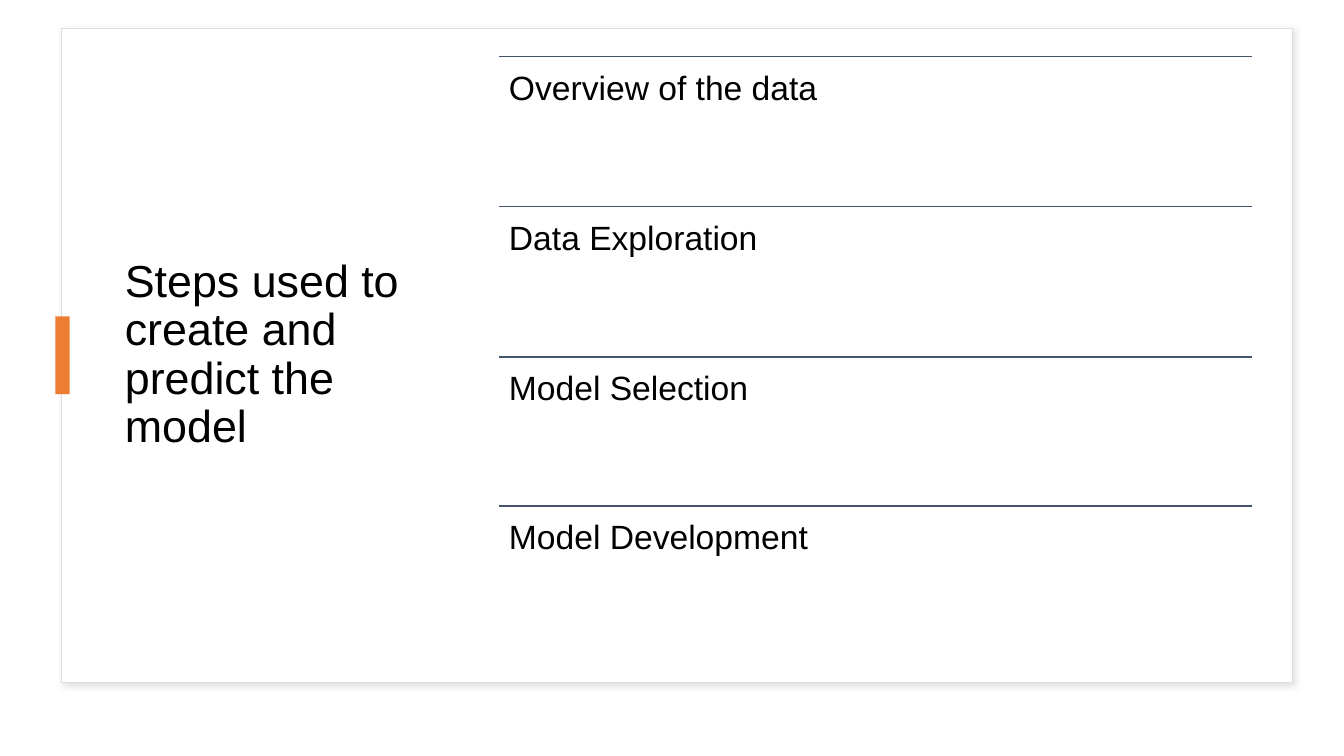
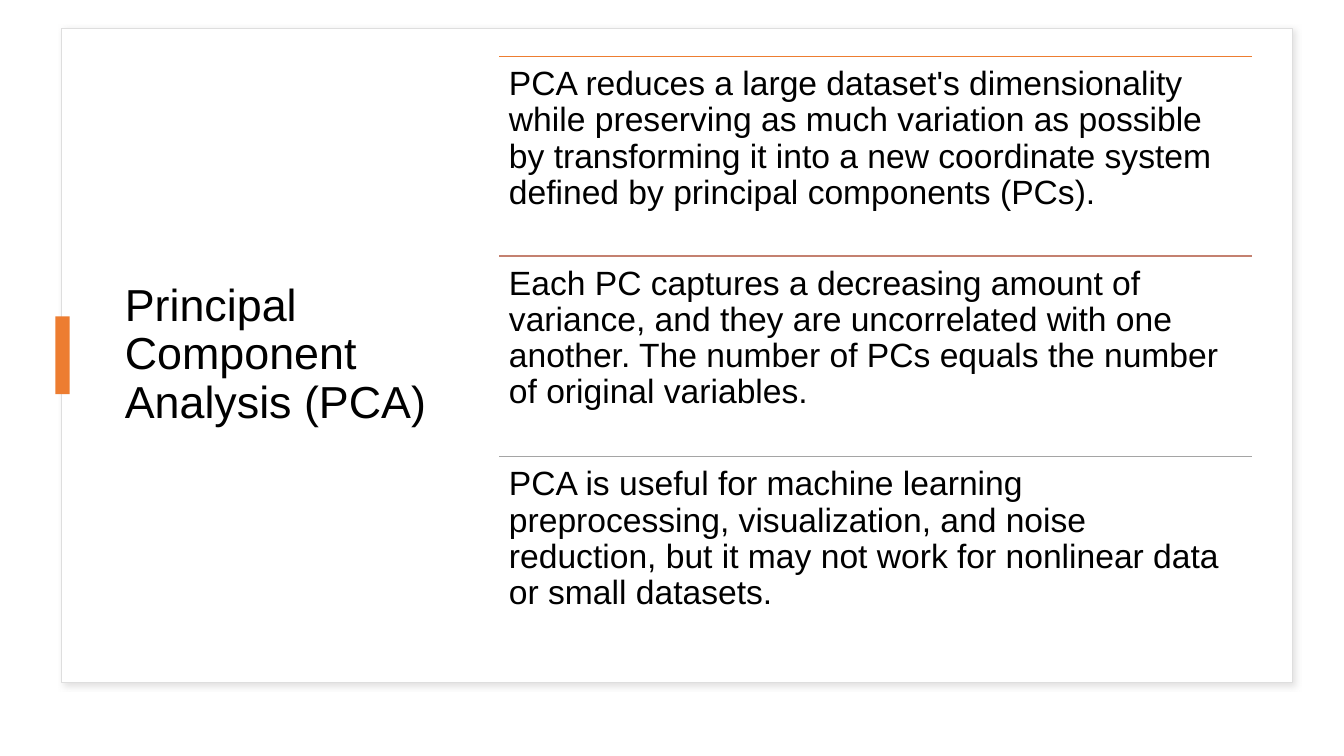
from dataclasses import dataclass
from typing import NamedTuple

from lxml.etree import SubElement
from pptx import Presentation
from pptx.dml.color import RGBColor
from pptx.enum.shapes import MSO_CONNECTOR, MSO_SHAPE
from pptx.enum.text import MSO_ANCHOR, PP_ALIGN
from pptx.oxml.ns import qn
from pptx.util import Emu, Pt


@dataclass(frozen=True)
class Theme:
    font: str = "Arial"
    ink: str = "000000"
    paper: str = "FFFFFF"
    frame: str = "DEDEDE"
    shadow: str = "C5C3C3"
    accent: str = "ED7D31"
    navy: str = "44546A"
    rose: str = "C48170"
    gray: str = "A5A5A5"
    title_size: int = 32
    body_size: int = 24
    line_width: int = 1


class Box(NamedTuple):
    left: int
    top: int
    width: int
    height: int

    def inside(self, left, top, width, height):
        return Box(self.left + left, self.top + top, width, height)

    def rows(self, count):
        edges = [round(self.height * index / count) for index in range(count + 1)]
        return [self.inside(0, top, self.width, bottom - top)
                for top, bottom in zip(edges, edges[1:])]


THEME = Theme()
PAGE = Box(0, 0, 1333, 750)
CARD = PAGE.inside(61, 28, 1221, 649)

SLIDES = [
    ("Steps used to create and predict the model", 1.0, [
        ("Overview of the data", THEME.navy),
        ("Data Exploration", THEME.navy),
        ("Model Selection", THEME.navy),
        ("Model Development", THEME.navy),
    ]),
    ("Principal Component Analysis (PCA)", 0.9, [
        ("PCA reduces a large dataset's dimensionality while preserving as much "
         "variation as possible by transforming it into a new coordinate system "
         "defined by principal components (PCs).", THEME.accent),
        ("Each PC captures a decreasing amount of variance, and they are "
         "uncorrelated with one another. The number of PCs equals the number of "
         "original variables.", THEME.rose),
        ("PCA is useful for machine learning preprocessing, visualization, and "
         "noise reduction, but it may not work for nonlinear data or small "
         "datasets.", THEME.gray),
    ]),
]


def px(length):
    """Convert px, 100 to the inch, into EMU."""
    return Emu(length * 9144)


def emu(box):
    return [px(length) for length in box]


def color(value):
    return RGBColor.from_string(value)


def add_rectangle(shapes, box, fill, line=None):
    rectangle = shapes.add_shape(MSO_SHAPE.RECTANGLE, *emu(box))
    rectangle.shadow.inherit = False
    rectangle.fill.solid()
    rectangle.fill.fore_color.rgb = color(fill)
    if line:
        rectangle.line.color.rgb = color(line)
        rectangle.line.width = Pt(THEME.line_width)
    else:
        rectangle.line.fill.background()
    return rectangle


def add_soft_shadow(shape):
    effects = shape._element.spPr.find(qn("a:effectLst"))
    shadow = SubElement(effects, qn("a:outerShdw"), blurRad=str(Pt(4)),
                        dist=str(Pt(3)), dir=str(45 * 60000), algn="tl",
                        rotWithShape="0")
    tint = SubElement(shadow, qn("a:srgbClr"), val=THEME.shadow)
    SubElement(tint, qn("a:alpha"), val="50000")


def add_rule(shapes, box, line):
    """Draw a line along the top edge of the box."""
    left, top, width, _ = emu(box)
    rule = shapes.add_connector(MSO_CONNECTOR.STRAIGHT, left, top, left + width, top)
    rule.line.color.rgb = color(line)
    rule.line.width = Pt(THEME.line_width)
    SubElement(rule._element.spPr, qn("a:effectLst"))


def add_text(shapes, box, text, size, spacing, inset, anchor):
    frame = shapes.add_textbox(*emu(box)).text_frame
    frame.word_wrap = True
    frame.vertical_anchor = anchor
    frame.margin_left = frame.margin_right = px(10)
    frame.margin_top = frame.margin_bottom = px(inset)
    frame.text = text
    para = frame.paragraphs[0]
    para.alignment = PP_ALIGN.LEFT
    para.line_spacing = spacing
    for span in para.runs:
        span.font.name = THEME.font
        span.font.size = Pt(size)
        span.font.color.rgb = color(THEME.ink)


def add_card(page, box, title):
    """Place the framed card, its title and the accent tab on its left edge."""
    add_soft_shadow(add_rectangle(page.shapes, box, THEME.paper, THEME.frame))
    add_text(page.shapes, box.inside(53, 27, 327, 595), title,
             THEME.title_size, 0.9, 5, MSO_ANCHOR.MIDDLE)
    add_rectangle(page.shapes, box.inside(-6, 286, 14, 77), THEME.accent)


def add_ruled_list(page, box, items, spacing):
    group = page.shapes.add_group_shape()
    for row, (text, line) in zip(box.rows(len(items)), items):
        add_rule(group.shapes, row, line)
        add_text(group.shapes, row, text, THEME.body_size, spacing, 10, MSO_ANCHOR.TOP)


def add_list_slide(deck, title, spacing, items):
    page = deck.slides.add_slide(deck.slide_layouts[6])
    page.background.fill.solid()
    page.background.fill.fore_color.rgb = color(THEME.paper)
    add_card(page, CARD, title)
    add_ruled_list(page, CARD.inside(434, 28, 747, 595), items, spacing)


def main():
    deck = Presentation()
    deck.slide_width, deck.slide_height = px(PAGE.width), px(PAGE.height)
    for title, spacing, items in SLIDES:
        add_list_slide(deck, title, spacing, items)
    deck.save("out.pptx")


if __name__ == "__main__":
    main()
